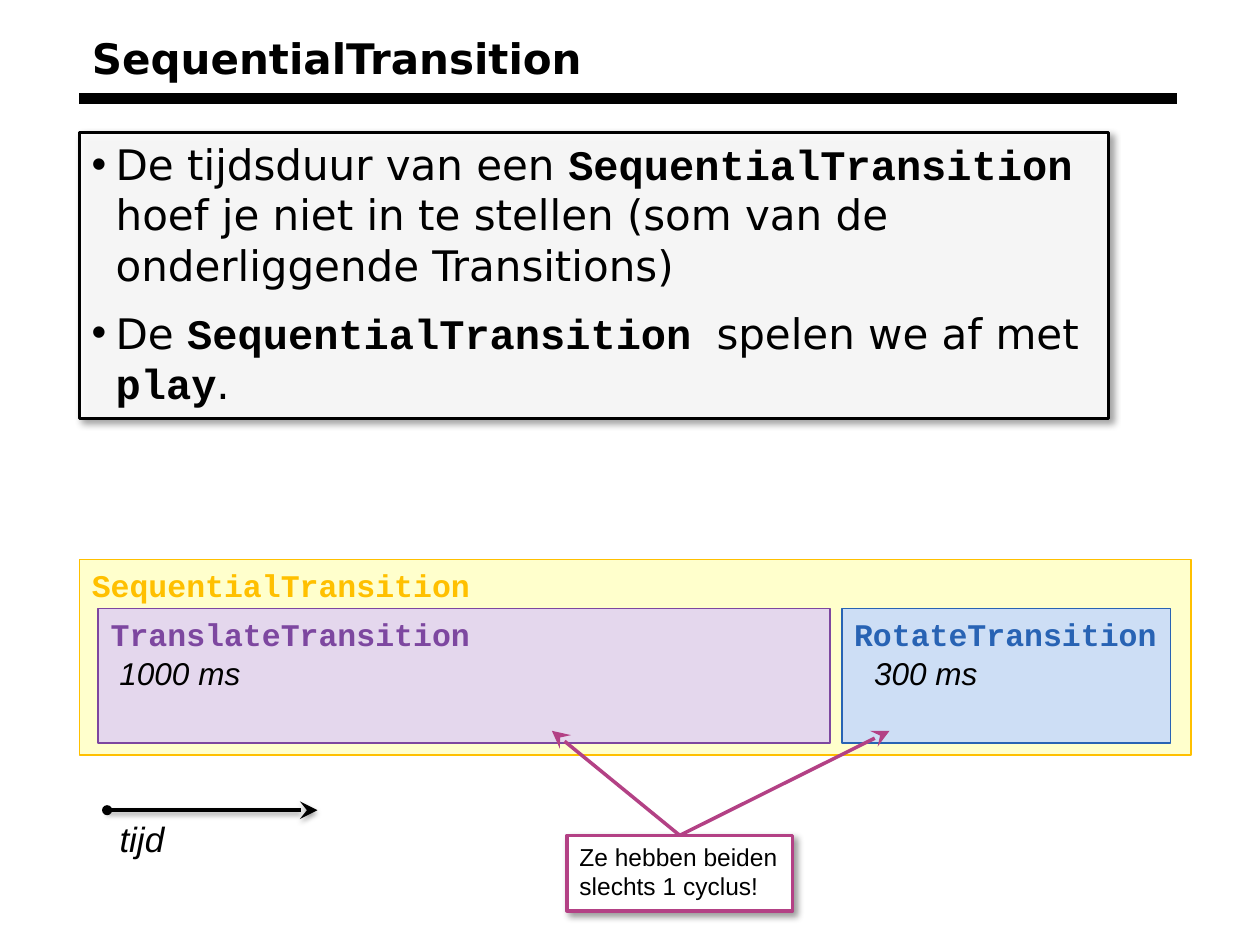
from lxml import etree
from pptx import Presentation
from pptx.dml.color import RGBColor
from pptx.enum import shapes, text
from pptx.oxml import ns
from pptx.util import Inches, Pt

THEME = {
    "black": "000000", "white": "FFFFFF", "callout": "B34185",
    "sans": "DejaVu Sans", "code": "Courier New", "label": "Arial",
    "title": 24, "body": 24, "time": 20, "block": 18, "note": 14,
}
TITLE = "SequentialTransition"
TITLE_BOX = (0.63, 0.14, 8.71, 0.64)
# Each bullet is a list of (text, is code)
BULLETS = [
    [("De tijdsduur van een ", False), ("SequentialTransition ", True),
     ("hoef je niet in te stellen (som van de onderliggende Transitions)", False)],
    [("De ", False), ("SequentialTransition ", True),
     ("spelen we af met ", False), ("play", True), (".", False)],
]
BULLET_BOX = (0.63, 1.05, 8.17, 2.27)
# name, box, fill, accent
BLOCKS = [
    ("SequentialTransition", (0.63, 4.44, 8.82, 1.55), "FFFFCC", "FFC000"),
    ("TranslateTransition", (0.78, 4.83, 5.81, 1.07), "E4D7ED", "7D47A0"),
    ("RotateTransition", (6.68, 4.83, 2.61, 1.07), "CDDEF5", "2863B4"),
]
# text, box, size
LABELS = [
    ("tijd", (0.85, 6.44, 0.69, 0.54), THEME["time"]),
    ("1000 ms", (0.85, 5.14, 1.17, 0.54), THEME["block"]),
    ("300 ms", (6.84, 5.14, 1.03, 0.54), THEME["block"]),
]
NOTE = "Ze hebben beiden slechts 1 cyclus!"
NOTE_BOX = (4.5, 6.63, 1.79, 0.6)
NOTE_TARGETS = [(4.38, 5.8), (7.06, 5.8)]
TIME_START, TIME_END, DOT = (0.85, 6.43), (2.52, 6.43), 0.08
# opacity %, blur pt, distance pt, angle
BOX_SHADOW = (40, 4, 3, 45)
LINE_SHADOW = (38, 3.1, 1.6, 90)


def rgb(value):
    return RGBColor.from_string(value)


def inches(values):
    return [Inches(v) for v in values]


def sub(parent, tag, **attrs):
    return etree.SubElement(parent, ns.qn(tag), {k: str(v) for k, v in attrs.items()})


def add_effects(sp, shadow=None):
    """Replace the theme's effects by the given shadow, or by none."""
    effects = sub(sp._element.spPr, "a:effectLst")
    if shadow:
        alpha, blur, dist, angle = shadow
        outer = sub(effects, "a:outerShdw", blurRad=int(Pt(blur)), dist=int(Pt(dist)),
                    dir=angle * 60000, algn="ctr", rotWithShape=0)
        sub(sub(outer, "a:srgbClr", val=THEME["black"]), "a:alpha", val=alpha * 1000)


def add_box(s, box, fill, line=None, width=1, shadow=None,
            kind=shapes.MSO_SHAPE.RECTANGLE):
    sp = s.shapes.add_shape(kind, *inches(box))
    sp.fill.solid()
    sp.fill.fore_color.rgb = rgb(fill)
    if line:
        sp.line.color.rgb = rgb(line)
        sp.line.width = Pt(width)
    else:
        sp.line.fill.background()
    add_effects(sp, shadow)
    return sp


def add_line(s, start, end, color, width, arrow=True, shadow=None):
    sp = s.shapes.add_connector(shapes.MSO_CONNECTOR.STRAIGHT, *inches(start + end))
    sp.line.color.rgb = rgb(color)
    sp.line.width = Pt(width)
    if arrow:
        sub(sp.line._get_or_add_ln(), "a:tailEnd", type="stealth", w="lg", len="lg")
    add_effects(sp, shadow)


def set_frame(tf, wrap=True, anchor=text.MSO_ANCHOR.TOP):
    values = {"word_wrap": wrap, "vertical_anchor": anchor,
              "auto_size": text.MSO_AUTO_SIZE.NONE,
              "margin_left": Inches(0.1), "margin_right": Inches(0.1),
              "margin_top": Inches(0.05), "margin_bottom": Inches(0.05)}
    for name, value in values.items():
        setattr(tf, name, value)


def add_run(p, words, font, size, color=THEME["black"], bold=False, italic=False):
    p.alignment = text.PP_ALIGN.LEFT
    r = p.add_run()
    r.text = words
    values = {"name": font, "size": Pt(size), "bold": bold, "italic": italic}
    for name, value in values.items():
        setattr(r.font, name, value)
    r.font.color.rgb = rgb(color)


def add_label(s, box, words, font, size, **style):
    tf = s.shapes.add_textbox(*inches(box)).text_frame
    set_frame(tf, wrap=False)
    add_run(tf.paragraphs[0], words, font, size, **style)


def add_title(s):
    sp = s.shapes.title
    sp.left, sp.top, sp.width, sp.height = inches(TITLE_BOX)
    set_frame(sp.text_frame, anchor=text.MSO_ANCHOR.MIDDLE)
    add_run(sp.text_frame.paragraphs[0], TITLE, THEME["sans"], THEME["title"], bold=True)
    left, top, width, height = TITLE_BOX
    rule = top + height
    add_line(s, (left, rule), (left + width, rule), THEME["black"], 6, arrow=False)


def add_timeline(s):
    for name, box, fill, accent in BLOCKS:
        add_box(s, box, fill, accent)
        add_label(s, box[:3] + (0.45,), name, THEME["code"], THEME["block"],
                  color=accent, bold=True)
    add_line(s, TIME_START, TIME_END, THEME["black"], 2, shadow=LINE_SHADOW)
    x, y = TIME_START
    add_box(s, (x - DOT / 2, y - DOT / 2, DOT, DOT), THEME["black"],
            kind=shapes.MSO_SHAPE.OVAL)
    for words, box, size in LABELS:
        add_label(s, box, words, THEME["label"], size, italic=True)


def add_note(s):
    sp = add_box(s, NOTE_BOX, THEME["white"], THEME["callout"], 2, BOX_SHADOW)
    set_frame(sp.text_frame)
    add_run(sp.text_frame.paragraphs[0], NOTE, THEME["label"], THEME["note"])
    left, top, width, _ = NOTE_BOX
    for target in NOTE_TARGETS:
        add_line(s, (left + width / 2, top), target, THEME["callout"], 2)


def add_bullets(s):
    sp = add_box(s, BULLET_BOX, THEME["white"], THEME["black"], 1.5, BOX_SHADOW)
    color = sp._element.spPr.find(ns.qn("a:solidFill"))[0]
    sub(color, "a:alpha", val=90000)
    tf = sp.text_frame
    set_frame(tf)
    for i, runs in enumerate(BULLETS):
        p = tf.add_paragraph() if i else tf.paragraphs[0]
        pPr = p._p.get_or_add_pPr()
        pPr.set("marL", str(Inches(0.19)))
        pPr.set("indent", str(-Inches(0.19)))
        sub(sub(pPr, "a:buClr"), "a:srgbClr", val=THEME["black"])
        sub(pPr, "a:buFont", typeface=THEME["label"])
        sub(pPr, "a:buChar", char="•")
        if i:
            p.space_before = Pt(10)
        for words, code in runs:
            add_run(p, words, THEME["code" if code else "sans"], THEME["body"], bold=code)


def main():
    prs = Presentation()
    prs.slide_width, prs.slide_height = inches((10, 7.5))
    s = prs.slides.add_slide(prs.slide_layouts[5])
    add_title(s)
    add_timeline(s)
    add_note(s)
    add_bullets(s)
    prs.save("out.pptx")


if __name__ == "__main__":
    main()
